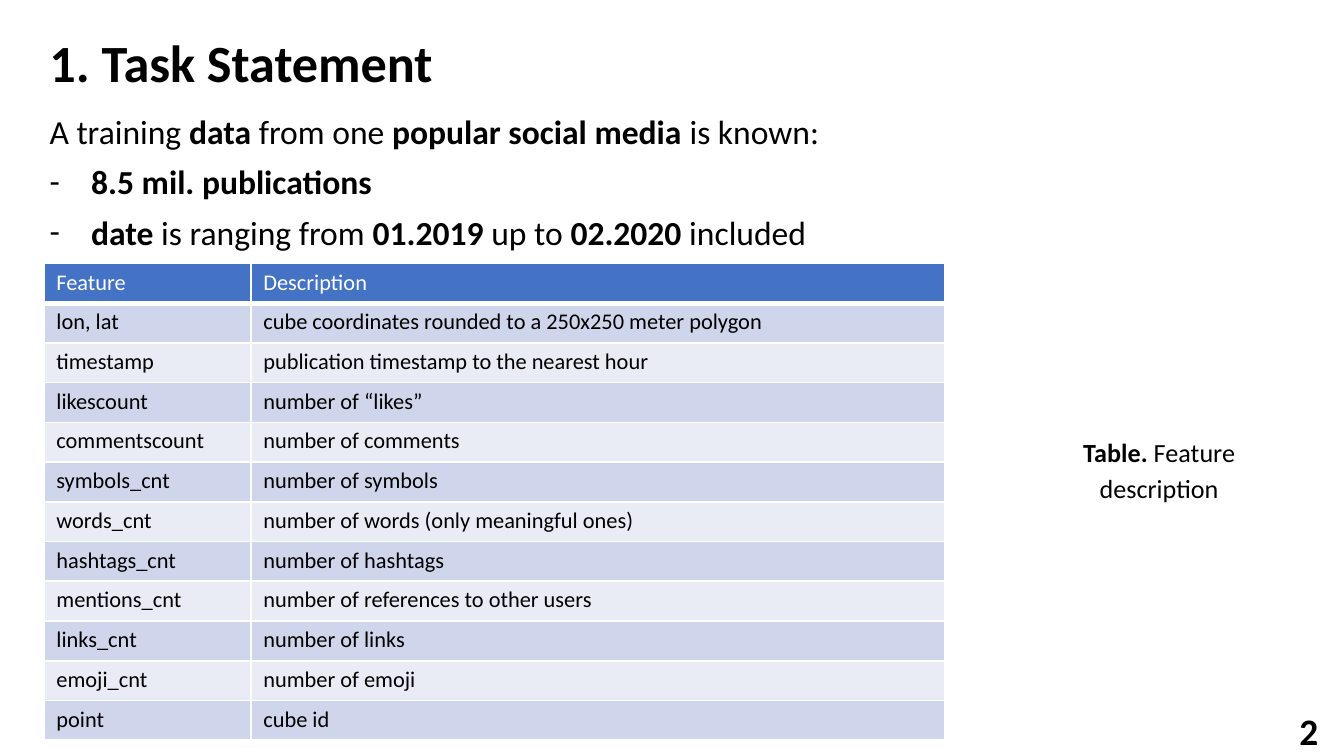
from dataclasses import dataclass

from lxml import etree
from pptx import Presentation
from pptx.dml.color import RGBColor
from pptx.enum.text import MSO_ANCHOR, MSO_AUTO_SIZE, PP_ALIGN
from pptx.oxml.ns import qn
from pptx.util import Inches, Pt

LEFT, CENTER, JUSTIFY = PP_ALIGN.LEFT, PP_ALIGN.CENTER, PP_ALIGN.JUSTIFY
MIDDLE = MSO_ANCHOR.MIDDLE
GROW = MSO_AUTO_SIZE.SHAPE_TO_FIT_TEXT


@dataclass(frozen=True)
class Theme:
    font: str = "Calibri"
    black: RGBColor = RGBColor(0x00, 0x00, 0x00)
    white: RGBColor = RGBColor(0xFF, 0xFF, 0xFF)
    header: RGBColor = RGBColor(0x44, 0x72, 0xC4)
    odd_row: RGBColor = RGBColor(0xCF, 0xD5, 0xEA)
    even_row: RGBColor = RGBColor(0xE9, 0xEB, 0xF5)
    title: int = 28
    number: int = 20
    body: int = 18
    caption: int = 14
    cell: int = 12


THEME = Theme()


def add_text(left, top, width, height, paragraphs, size, align=LEFT):
    """Add a text box; each paragraph is a list of (text, bold) runs."""
    frame = slide.shapes.add_textbox(
        Inches(left), Inches(top), Inches(width), Inches(height)).text_frame
    frame.word_wrap = True
    for index, runs in enumerate(paragraphs):
        paragraph = frame.add_paragraph() if index else frame.paragraphs[0]
        paragraph.alignment = align
        style_font(paragraph.font, size, THEME.black)
        for text, bold in runs:
            run = paragraph.add_run()
            run.text = text
            run.font.bold = bold
    return frame


def style_font(font, size, color):
    font.name = THEME.font
    font.size = Pt(size)
    font.color.rgb = color


presentation = Presentation()
presentation.slide_width = Inches(10)
presentation.slide_height = Inches(10) * 9 // 16
slide = presentation.slides.add_slide(presentation.slide_layouts[6])

# Page number and title
add_text(9.57, 5.22, 0.34, 0.44, [[("2", True)]], THEME.number)
title = add_text(0.27, 0.07, 7.4, 0.78, [[("1. Task Statement", True)]], THEME.title)
title.vertical_anchor = MIDDLE

# Introduction: a lead line and two dashed points
introduction = add_text(0.27, 0.81, 9.85, 4.08, [
    [("A training ", False), ("data", True), (" from one ", False),
     ("popular social media ", True), ("is known:", False)],
    [("8.5 mil. publications", True)],
    [("date", True), (" is ranging from ", False), ("01.2019", True),
     (" up to ", False), ("02.2020", True), (" included", False)],
], THEME.body, JUSTIFY)
for index, paragraph in enumerate(introduction.paragraphs):
    paragraph.line_spacing = 0.9
    if index:
        paragraph.space_before = Pt(7.5)
        properties = paragraph._p.get_or_add_pPr()
        properties.set("marL", str(Inches(0.31)))
        properties.set("indent", str(-Inches(0.31)))
        for bullet in (etree.Element(qn("a:buFont"), typeface=THEME.font),
                       etree.Element(qn("a:buChar"), char="-")):
            properties.insert_element_before(bullet, "a:tabLst", "a:defRPr", "a:extLst")

# Feature table
features = [
    ("Feature", "Description"),
    ("lon, lat", "cube coordinates rounded to a 250x250 meter polygon"),
    ("timestamp", "publication timestamp to the nearest hour"),
    ("likescount", "number of “likes”"),
    ("commentscount", "number of comments"),
    ("symbols_cnt", "number of symbols"),
    ("words_cnt", "number of words (only meaningful ones)"),
    ("hashtags_cnt", "number of hashtags"),
    ("mentions_cnt", "number of references to other users"),
    ("links_cnt", "number of links"),
    ("emoji_cnt", "number of emoji"),
    ("point", "cube id"),
]
table = slide.shapes.add_table(
    len(features), 2, Inches(0.33), Inches(1.96), Inches(6.7), Inches(3.55)).table
table.columns[0].width = Inches(1.54)
table.columns[1].width = Inches(5.16)
for row, texts in enumerate(features):
    if row == 0:
        fill, color = THEME.header, THEME.white
    else:
        fill, color = (THEME.odd_row if row % 2 else THEME.even_row), THEME.black
    for column, text in enumerate(texts):
        cell = table.cell(row, column)
        cell.text = text
        cell.margin_left = cell.margin_right = Inches(0.09)
        cell.margin_top = cell.margin_bottom = Inches(0.04)
        paragraph = cell.text_frame.paragraphs[0]
        style_font(paragraph.font, THEME.cell, color)
        paragraph.font.bold = False
        cell_properties = cell._tc.get_or_add_tcPr()
        for side in "LRTB":
            below_header = (row, side) in ((0, "B"), (1, "T"))
            border = etree.SubElement(cell_properties, qn(f"a:ln{side}"),
                                      w=str(Pt(3 if below_header else 1)))
            solid = etree.SubElement(border, qn("a:solidFill"))
            etree.SubElement(solid, qn("a:srgbClr"), val=str(THEME.white))
        cell.fill.solid()
        cell.fill.fore_color.rgb = fill

# Table caption
caption = add_text(7.59, 3.11, 2.07, 0.86,
                   [[("Table.", True), (" Feature description", False)]],
                   THEME.caption, CENTER)
caption.margin_top = caption.margin_bottom = Inches(0.1)
caption.auto_size = GROW
caption.paragraphs[0].line_spacing = 1.15
caption.paragraphs[0].space_after = Pt(8)

presentation.save("out.pptx")
